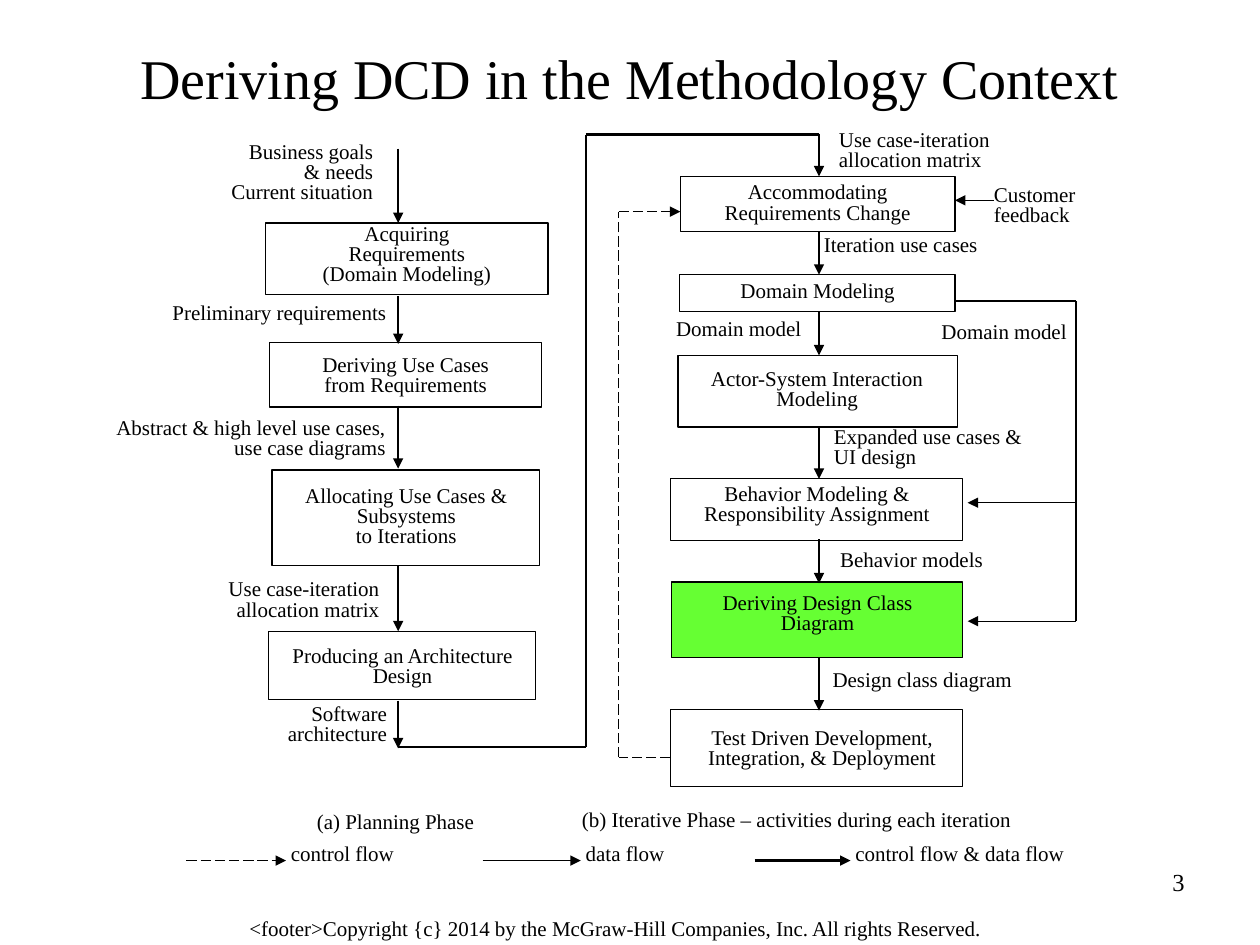
from lxml import etree
from pptx import Presentation
from pptx import util as u
from pptx.dml.color import RGBColor
from pptx.enum import dml, shapes, text
from pptx.oxml.ns import qn

COLORS = {"ink": "000000", "paper": "FFFFFF", "current": "66FF33"}
FONT = "Times New Roman"
THIN, THICK = 0.75, 1.5
ALIGN = {"l": text.PP_ALIGN.LEFT, "c": text.PP_ALIGN.CENTER, "r": text.PP_ALIGN.RIGHT}


def rgb(name):
    return RGBColor.from_string(COLORS[name])


def add_text(slide, wording, box, align="l", size=12, spacing=0.8,
             anchor=text.MSO_ANCHOR.TOP):
    """Write one paragraph for each line of wording."""
    frame = slide.shapes.add_textbox(*map(u.Inches, box)).text_frame
    frame.word_wrap = True
    frame.vertical_anchor = anchor
    for number, words in enumerate(wording.split("\n")):
        paragraph = frame.add_paragraph() if number else frame.paragraphs[0]
        paragraph.text = words
        paragraph.alignment = ALIGN[align]
        paragraph.line_spacing = spacing
        paragraph.font.name = FONT
        paragraph.font.size = u.Pt(size)
        paragraph.font.color.rgb = rgb("ink")


def add_box(slide, box, fill="paper"):
    step = slide.shapes.add_shape(shapes.MSO_SHAPE.RECTANGLE, *map(u.Inches, box))
    step.shadow.inherit = False
    step.fill.solid()
    step.fill.fore_color.rgb = rgb(fill)
    step.line.color.rgb = rgb("ink")
    step.line.width = u.Pt(THIN)


def add_path(slide, points, width=THIN, dashed=False, arrow=True):
    """Join the points with straight lines; the last one may end in an arrow."""
    for number, (start, end) in enumerate(zip(points, points[1:]), 2):
        flow = slide.shapes.add_connector(
            shapes.MSO_CONNECTOR.STRAIGHT, *map(u.Inches, (*start, *end)))
        flow.line.color.rgb = rgb("ink")
        flow.line.width = u.Pt(width)
        if dashed:
            flow.line.dash_style = dml.MSO_LINE.LONG_DASH
        if arrow and number == len(points):
            etree.SubElement(flow.line._get_or_add_ln(), qn("a:tailEnd"), type="triangle")
        etree.SubElement(flow._element.spPr, qn("a:effectLst"))


def add_phase(slide, left, top, axis, steps, labels, arrows):
    """Draw the steps of a phase, their labels and the arrows down its axis."""
    def place(box):
        return (left + box[0], top + box[1], *box[2:])

    for wording, box, text_box, fill in steps:
        add_box(slide, place(box), fill)
        add_text(slide, wording, place(text_box), align="c")
    for wording, box, align in labels:
        add_text(slide, wording, place(box), align=align)
    for start, end in arrows:
        x = left + axis
        add_path(slide, [(x, top + start), (x, top + end)], THICK)


def add_planning_phase(slide, left, top):
    steps = [
        ("Acquiring\nRequirements\n(Domain Modeling)",
         (1.11, 0.77, 2.24, 0.57), (1.17, 0.74, 2.12, 0.52), "paper"),
        ("Deriving Use Cases\nfrom Requirements",
         (1.14, 1.72, 2.16, 0.51), (1.26, 1.78, 1.92, 0.49), "paper"),
        ("Allocating Use Cases & Subsystems\nto Iterations",
         (1.16, 2.73, 2.12, 0.76), (1.2, 2.82, 2.05, 0.71), "paper"),
        ("Producing an Architecture Design",
         (1.13, 4.01, 2.12, 0.54), (1.17, 4.09, 2.05, 0.53), "paper"),
    ]
    labels = [
        ("Business goals\n& needs\nCurrent situation", (0.38, 0.09, 1.68, 0.76), "r"),
        ("Preliminary requirements", (0.27, 1.37, 1.94, 0.32), "l"),
        ("Abstract & high level use cases, use case diagrams",
         (-0.28, 2.28, 2.44, 0.53), "r"),
        ("Use case-iteration allocation matrix", (0.1, 3.56, 2.01, 0.55), "r"),
        ("Software architecture", (0.82, 4.55, 1.35, 0.53), "r"),
        ("(a) Planning Phase", (1.01, 5.41, 2.26, 0.35), "c"),
    ]
    arrows = [(0.18, 0.77), (1.35, 1.73), (2.22, 2.72), (3.49, 4.01), (4.56, 4.94)]
    add_phase(slide, left, top, 2.16, steps, labels, arrows)


def add_iterative_phase(slide, left, top):
    steps = [
        ("Accommodating\nRequirements Change",
         (1.4, 0.4, 2.18, 0.44), (1.4, 0.41, 2.18, 0.52), "paper"),
        ("Domain Modeling",
         (1.39, 1.18, 2.19, 0.29), (1.59, 1.19, 1.8, 0.36), "paper"),
        ("Actor-System Interaction Modeling",
         (1.38, 1.82, 2.22, 0.57), (1.26, 1.89, 2.45, 0.64), "paper"),
        ("Behavior Modeling &\nResponsibility Assignment",
         (1.32, 2.8, 2.32, 0.49), (1.28, 2.8, 2.41, 0.48), "paper"),
        ("Deriving Design Class\nDiagram",
         (1.33, 3.62, 2.31, 0.6), (1.36, 3.67, 2.26, 0.47), "current"),
        ("Test Driven Development, Integration, & Deployment",
         (1.32, 4.63, 2.32, 0.61), (1.28, 4.74, 2.49, 0.61), "paper"),
    ]
    labels = [
        ("Use case-iteration allocation matrix", (2.56, -0.01, 2.01, 0.55), "l"),
        ("Customer\nfeedback", (3.79, 0.43, 1.18, 0.61), "l"),
        ("Iteration use cases", (2.44, 0.83, 2.02, 0.35), "l"),
        ("Domain model", (0.96, 1.49, 1.5, 0.28), "r"),
        ("Domain model", (3.22, 1.52, 1.5, 0.28), "c"),
        ("Expanded use cases & UI design", (2.52, 2.35, 1.89, 0.54), "l"),
        ("Behavior models", (2.57, 3.33, 1.4, 0.31), "l"),
        ("Design class diagram", (2.51, 4.28, 2.57, 0.35), "l"),
        ("(b) Iterative Phase – activities during each iteration",
         (0.52, 5.39, 4.65, 0.35), "l"),
    ]
    arrows = [(0.06, 0.4), (0.84, 1.18), (1.48, 1.82), (2.39, 2.8),
              (3.28, 3.63), (4.22, 4.64)]
    add_phase(slide, left, top, 2.5, steps, labels, arrows)

    # Side flows: customer feedback, domain model, next iteration
    side_flows = [
        ([(3.89, 0.59), (3.58, 0.59)], False),
        ([(3.58, 1.39), (4.54, 1.39), (4.54, 3.93), (3.68, 3.93)], False),
        ([(4.54, 2.99), (3.68, 2.99)], False),
        ([(1.32, 5.01), (0.91, 5.01), (0.91, 0.68), (1.4, 0.68)], True),
    ]
    for points, dashed in side_flows:
        add_path(slide, [(left + x, top + y) for x, y in points], dashed=dashed)


def add_legend(slide, left, top):
    entries = [
        ("control flow", 0, 0.79, 1.59, THIN, True),
        ("data flow", 2.35, 0.78, 1.45, THIN, False),
        ("control flow & data flow", 4.51, 0.76, 2.55, THICK, False),
    ]
    for wording, x, length, width, weight, dashed in entries:
        start, end = left + x, left + x + length
        add_path(slide, [(start, top + 0.17), (end, top + 0.17)], weight, dashed)
        add_text(slide, wording, (end - 0.06, top, width, 0.35))


def main():
    deck = Presentation()
    deck.slide_width, deck.slide_height = u.Inches(10), u.Inches(7.5)
    slide = deck.slides.add_slide(deck.slide_layouts[6])

    # Title
    add_text(slide, "Deriving DCD in the Methodology Context", (0.5, 0.3, 9, 0.62),
             align="c", size=32, spacing=1, anchor=text.MSO_ANCHOR.MIDDLE)

    # Phases and the flow that links them
    add_planning_phase(slide, 1, 1)
    add_iterative_phase(slide, 4, 1)
    add_path(slide, [(3.16, 5.93), (4.65, 5.93), (4.65, 1.07), (6.5, 1.07)],
             THICK, arrow=False)
    add_legend(slide, 1.48, 6.66)

    # Footer and page number
    add_text(slide, "<footer>Copyright {c} 2014 by the McGraw-Hill Companies, Inc. "
             "All rights Reserved.", (1.88, 7.22, 6.19, 0.31), spacing=1)
    add_text(slide, "3", (7.17, 6.83, 2.33, 0.52), align="r", size=14, spacing=1)

    deck.save("out.pptx")


if __name__ == "__main__":
    main()
